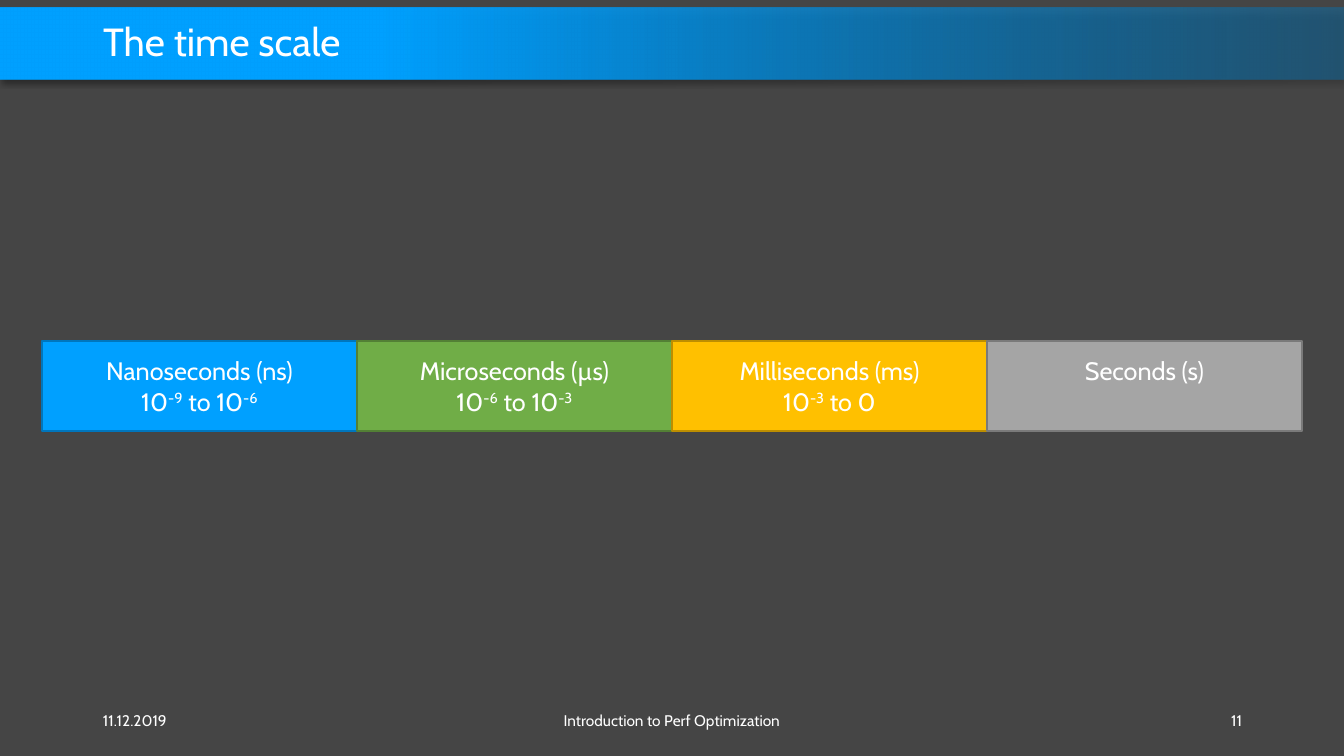
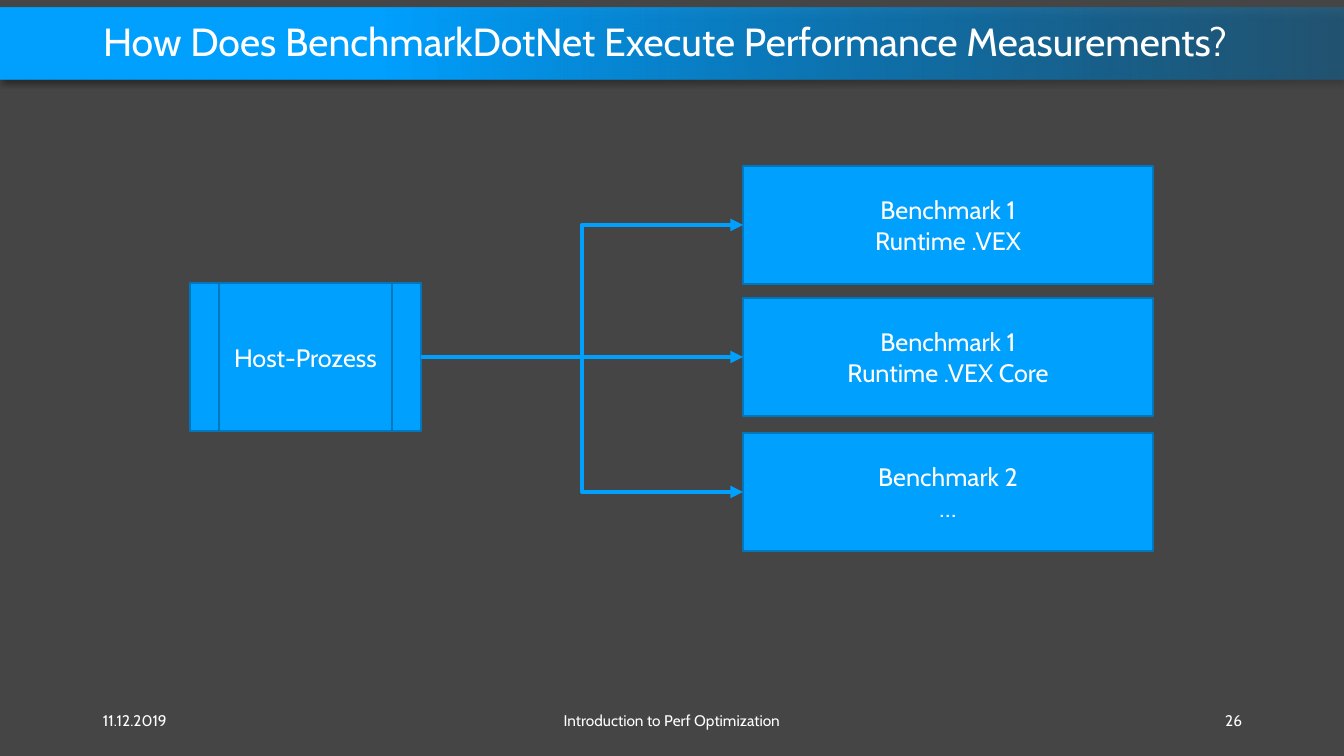
"""Build two slides on time scales and benchmark execution."""
import pptx
import pptx.dml.color
import pptx.enum.dml
import pptx.enum.shapes
import pptx.enum.text
import pptx.oxml
import pptx.oxml.ns
import pptx.util

RGB = pptx.dml.color.RGBColor
SHAPE = pptx.enum.shapes.MSO_SHAPE
CONNECTOR = pptx.enum.shapes.MSO_CONNECTOR
ALIGN = pptx.enum.text.PP_ALIGN
MIDDLE = pptx.enum.text.MSO_ANCHOR.MIDDLE

WIDTH, HEIGHT = 1344, 756
EMU_PER_PX = 12192000 / WIDTH
FONT = "Cabin"
TITLE_SIZE, BODY_SIZE, FOOTER_SIZE = 28, 18, 11
LEFT_SIDE, RIGHT_SIDE = 1, 3

WHITE = RGB(0xFF, 0xFF, 0xFF)
BACKGROUND = RGB(0x45, 0x45, 0x45)
BLUE = RGB(0x00, 0xA0, 0xFF)
BAND_BLUE = RGB(0x00, 0x78, 0xBF)
BLUE_EDGE = RGB(0x00, 0x76, 0xBD)
GREEN = RGB(0x70, 0xAD, 0x47)
GREEN_EDGE = RGB(0x53, 0x80, 0x35)
AMBER = RGB(0xFF, 0xC0, 0x00)
AMBER_EDGE = RGB(0xBD, 0x8E, 0x00)
GREY = RGB(0xA5, 0xA5, 0xA5)
GREY_EDGE = RGB(0x7A, 0x7A, 0x7A)

DATE = "11.12.2019"
TALK = "Introduction to Perf Optimization"

TIME_UNITS = [
    ("Nanoseconds (ns)", ["10", "-9", " to 10", "-6"], BLUE, BLUE_EDGE),
    ("Microseconds (µs)", ["10", "-6", " to 10", "-3"], GREEN, GREEN_EDGE),
    ("Milliseconds (ms)", ["10", "-3", " to 0"], AMBER, AMBER_EDGE),
    ("Seconds (s)", [], GREY, GREY_EDGE),
]
BENCHMARKS = [
    (166, ["Benchmark 1", "Runtime .VEX"], CONNECTOR.ELBOW),
    (298, ["Benchmark 1", "Runtime .VEX Core"], CONNECTOR.STRAIGHT),
    (433, ["Benchmark 2", "…"], CONNECTOR.ELBOW),
]


def px(length):
    """Turn pixels into EMU."""
    return pptx.util.Emu(round(length * EMU_PER_PX))


def xml(markup):
    """Parse a DrawingML fragment whose first tag lacks its namespace."""
    tag, rest = markup.split(" ", 1)
    return pptx.oxml.parse_xml(f"{tag} {pptx.oxml.ns.nsdecls('a')} {rest}")


def add_run(paragraph, text, size, superscript=False):
    """Append one white run to a paragraph."""
    run = paragraph.add_run()
    run.text = text
    run.font.name = FONT
    run.font.size = pptx.util.Pt(size)
    run.font.color.rgb = WHITE
    if superscript:
        run._r.get_or_add_rPr().set("baseline", "30000")


def add_box(shapes, kind, bounds, fill, edge):
    """Add a flat shape with a thin edge and centred text."""
    box = shapes.add_shape(kind, *map(px, bounds))
    box.shadow.inherit = False
    box.fill.solid()
    box.fill.fore_color.rgb = fill
    box.line.color.rgb = edge
    box.line.width = pptx.util.Pt(1)
    box.text_frame.vertical_anchor = MIDDLE
    box.text_frame.paragraphs[0].alignment = ALIGN.CENTER
    return box


def add_process(slide, kind, bounds, lines):
    """Add a blue process box with one paragraph per line."""
    process = add_box(slide.shapes, kind, bounds, BLUE, BLUE_EDGE)
    frame = process.text_frame
    for index, line in enumerate(lines):
        paragraph = frame.add_paragraph() if index else frame.paragraphs[0]
        paragraph.alignment = ALIGN.CENTER
        add_run(paragraph, line, BODY_SIZE)
    return process


def add_arrow(slide, kind, source, target):
    """Join the right side of source to the left side of target."""
    arrow = slide.shapes.add_connector(kind, 0, 0, 0, 0)
    arrow.begin_connect(source, RIGHT_SIDE)
    arrow.end_connect(target, LEFT_SIDE)
    arrow.line.color.rgb = BLUE
    arrow.line.width = pptx.util.Pt(3)
    arrow.line._get_or_add_ln().append(xml('<a:tailEnd type="triangle"/>'))
    arrow.element.spPr.append(xml("<a:effectLst />"))


def add_footer(slide, left, width, text, alignment):
    """Add one text of the footer line."""
    footer = slide.shapes.add_textbox(px(left), px(700), px(width), px(40))
    frame = footer.text_frame
    frame.word_wrap = True
    frame.vertical_anchor = MIDDLE
    frame.paragraphs[0].alignment = alignment
    add_run(frame.paragraphs[0], text, FOOTER_SIZE)


def add_slide(prs, title_text, number):
    """Add a slide with its title and footer line."""
    slide = prs.slides.add_slide(prs.slide_layouts[5])
    title = slide.shapes.title
    title.left, title.top, title.width, title.height = map(px, (93, 16, 1159, 55))
    frame = title.text_frame
    frame.auto_size = pptx.enum.text.MSO_AUTO_SIZE.NONE
    frame.vertical_anchor = MIDDLE
    heading = frame.paragraphs[0]
    heading.alignment = ALIGN.LEFT
    heading.line_spacing = 0.9
    add_run(heading, title_text, TITLE_SIZE)
    add_footer(slide, 93, 302, DATE, ALIGN.LEFT)
    add_footer(slide, 445, 454, TALK, ALIGN.CENTER)
    add_footer(slide, 950, 302, str(number), ALIGN.RIGHT)
    return slide


def add_layout_band(slide):
    """Draw the title band and move it to the layout of the slide."""
    band = slide.shapes.add_shape(SHAPE.RECTANGLE, *map(px, (0, 8, WIDTH, 71)))
    band.line.fill.background()
    band.fill.gradient()
    band.fill.gradient_angle = 180
    right, left = band.fill.gradient_stops
    right.color.rgb, right.position = BAND_BLUE, 0
    left.color.rgb, left.position = BLUE, 0.72
    right_colour = next(band.element.spPr.iter(pptx.oxml.ns.qn("a:srgbClr")))
    right_colour.append(xml('<a:alpha val="40000"/>'))
    band.shadow.inherit = False
    effects = band.element.spPr.find(pptx.oxml.ns.qn("a:effectLst"))
    effects.append(xml(
        '<a:outerShdw blurRad="50800" dist="38100" dir="5400000" algn="t" rotWithShape="0">'
        '<a:srgbClr val="000000"><a:alpha val="40000"/></a:srgbClr></a:outerShdw>'))
    slide.slide_layout.shapes.element.insert(2, band.element)


def fill_time_scale(slide):
    """Lay the time units side by side in one group."""
    scale = slide.shapes.add_group_shape()
    width = 315
    for index, (unit, span, fill, edge) in enumerate(TIME_UNITS):
        bounds = (42 + index * width, 341, width, 90)
        box = add_box(scale.shapes, SHAPE.RECTANGLE, bounds, fill, edge)
        label = box.text_frame.paragraphs[0]
        add_run(label, unit, BODY_SIZE)
        label.add_line_break()
        for position, part in enumerate(span):
            add_run(label, part, BODY_SIZE, superscript=position % 2 == 1)


def fill_benchmark_flow(slide):
    """Link the host process to each benchmark process."""
    host = add_process(slide, SHAPE.FLOWCHART_PREDEFINED_PROCESS,
                       (190, 283, 231, 148), ["Host-Prozess"])
    for top, lines, route in BENCHMARKS:
        benchmark = add_process(slide, SHAPE.FLOWCHART_PROCESS,
                                (743, top, 410, 118), lines)
        add_arrow(slide, route, host, benchmark)


def main():
    """Build and save the presentation."""
    prs = pptx.Presentation()
    prs.slide_width, prs.slide_height = px(WIDTH), px(HEIGHT)
    backdrop = prs.slide_master.background.fill
    backdrop.solid()
    backdrop.fore_color.rgb = BACKGROUND
    time_scale = add_slide(prs, "The time scale", 11)
    add_layout_band(time_scale)
    fill_time_scale(time_scale)
    benchmark_flow = add_slide(
        prs, "How Does BenchmarkDotNet Execute Performance Measurements?", 26)
    fill_benchmark_flow(benchmark_flow)
    prs.save("out.pptx")


if __name__ == "__main__":
    main()
